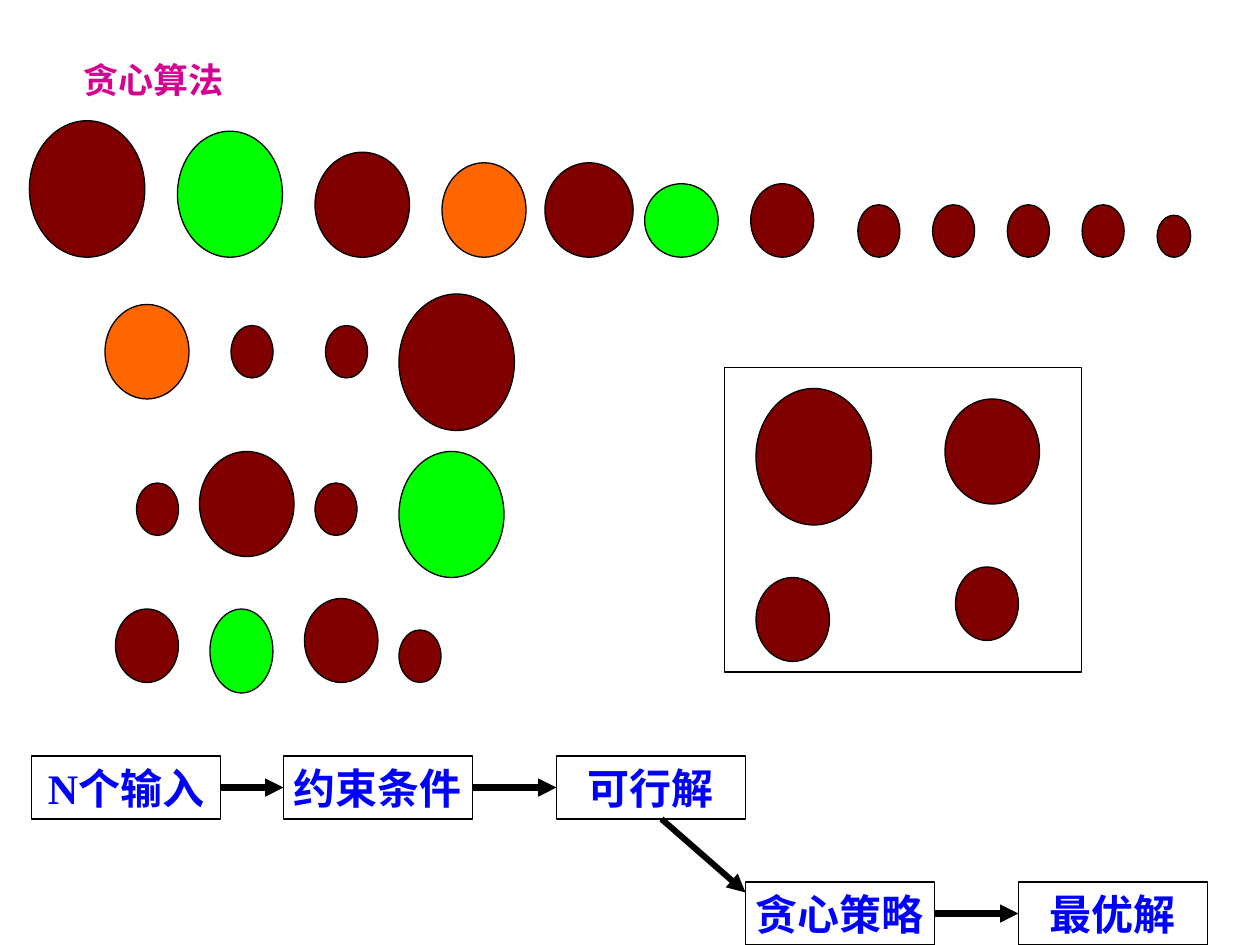
import lxml.etree
import pptx
import pptx.dml.color
import pptx.enum.shapes
import pptx.enum.text
import pptx.oxml.ns
import pptx.util

COLOURS = {
    "ink": "000000",
    "paper": "FFFFFF",
    "red": "800000",
    "green": "00FF00",
    "orange": "FF6600",
    "title": "D60093",
    "step": "0000FF",
}
CHINESE = "Noto Sans CJK SC"
LATIN = "Times New Roman"
COLUMNS, ROWS = 120, 90
CELL = pptx.util.Inches(10) // COLUMNS
OVAL = pptx.enum.shapes.MSO_SHAPE.OVAL
RECTANGLE = pptx.enum.shapes.MSO_SHAPE.RECTANGLE


def cells(*values):
    return [round(value * CELL) for value in values]


def colour(name):
    return pptx.dml.color.RGBColor.from_string(COLOURS[name])


def add_outlined(page, kind, box, fill):
    shape = page.shapes.add_shape(kind, *cells(*box))
    shape.shadow.inherit = False
    shape.fill.solid()
    shape.fill.fore_color.rgb = colour(fill)
    shape.line.color.rgb = colour("ink")
    shape.line.width = pptx.util.Pt(0.75)
    return shape


def add_span(para, text, face, size, fill):
    span = para.add_run()
    span.text = text
    span.font.size = pptx.util.Pt(size)
    span.font.bold = True
    span.font.color.rgb = colour(fill)
    span.font.name = face
    east_asian = lxml.etree.SubElement(span.font._element, pptx.oxml.ns.qn("a:ea"))
    east_asian.set("typeface", face)


def add_arrow(page, start, end):
    arrow = page.shapes.add_connector(
        pptx.enum.shapes.MSO_CONNECTOR.STRAIGHT, *cells(*start, *end))
    arrow.line.color.rgb = colour("ink")
    arrow.line.width = pptx.util.Pt(3.5)
    head = lxml.etree.SubElement(arrow.line._get_or_add_ln(), pptx.oxml.ns.qn("a:tailEnd"))
    head.set("type", "triangle")
    lxml.etree.SubElement(arrow._element.spPr, pptx.oxml.ns.qn("a:effectLst"))
    return arrow


def add_title(page, box):
    title = page.shapes.add_textbox(*cells(*box))
    frame = title.text_frame
    frame.word_wrap = True
    frame.auto_size = pptx.enum.text.MSO_AUTO_SIZE.SHAPE_TO_FIT_TEXT
    add_span(frame.paragraphs[0], "贪心算法", CHINESE, 20, "title")


def add_balls(page, box, balls):
    left, top = box[:2]
    for column, row, width, height, fill in balls:
        add_outlined(page, OVAL, (left + column, top + row, width, height), fill)


def add_sorted_row(page, box, balls):
    height = box[3]
    add_balls(page, box, [
        (column, height - tall, wide, tall, fill)
        for column, wide, tall, fill in balls])


def add_bag(page, box, balls):
    add_outlined(page, RECTANGLE, box, "paper")
    add_balls(page, box, balls)


def add_flow(page, box, steps):
    left, top = box[:2]
    wide, tall = 18, 6
    shapes = []
    for column, row, spans in steps:
        shape = add_outlined(page, RECTANGLE, (left + column, top + row, wide, tall), "paper")
        frame = shape.text_frame
        frame.word_wrap = False
        frame.vertical_anchor = pptx.enum.text.MSO_ANCHOR.MIDDLE
        para = frame.paragraphs[0]
        para.alignment = pptx.enum.text.PP_ALIGN.CENTER
        for text, face in spans:
            add_span(para, text, face, 24, "step")
        shapes.append(shape)
    for index, (here, following) in enumerate(zip(steps, steps[1:])):
        if here[1] == following[1]:
            level = top + here[1] + tall / 2
            arrow = add_arrow(page, (left + here[0] + wide, level), (left + following[0], level))
            arrow.begin_connect(shapes[index], 3)
            arrow.end_connect(shapes[index + 1], 1)
        else:
            add_arrow(page, (left + here[0] + 10, top + here[1] + tall),
                      (left + following[0], top + following[1] + 1))


def main():
    deck = pptx.Presentation()
    deck.slide_width, deck.slide_height = cells(COLUMNS, ROWS)
    page = deck.slides.add_slide(deck.slide_layouts[6])

    add_title(page, (6.8, 5, 38.2, 5.2))
    add_sorted_row(page, (2.8, 11.5, 110.6, 13), [
        (0, 11, 13, "red"), (14.1, 10, 12, "green"), (27.2, 9, 10, "red"),
        (39.3, 8, 9, "orange"), (49.1, 8.4, 9, "red"), (58.6, 7, 7, "green"),
        (68.7, 6, 7, "red"),
        *[(78.9 + 7.12 * index, 4, 5, "red") for index in range(4)],
        (107.4, 3.2, 4, "red")])
    add_balls(page, (10, 28, 39, 38), [
        (0, 1, 8, 9, "orange"), (12, 3, 4, 5, "red"),
        (21, 3, 4, 5, "red"), (28, 0, 11, 13, "red"),
        (3, 18, 4, 5, "red"), (9, 15, 9, 10, "red"),
        (20, 18, 4, 5, "red"), (28, 15, 10, 12, "green"),
        (1, 30, 6, 7, "red"), (10, 30, 6, 8, "green"),
        (19, 29, 7, 8, "red"), (28, 32, 4, 5, "red")])
    add_bag(page, (69, 35, 34, 29), [
        (3, 2, 11, 13, "red"), (21, 3, 9, 10, "red"),
        (3, 20, 7, 8, "red"), (22, 19, 6, 7, "red")])
    add_flow(page, (3, 72, 112, 18), [
        (0, 0, [("N", LATIN), ("个输入", CHINESE)]),
        (24, 0, [("约束条件", CHINESE)]),
        (50, 0, [("可行解", CHINESE)]),
        (68, 12, [("贪心策略", CHINESE)]),
        (94, 12, [("最优解", CHINESE)])])
    deck.save("out.pptx")


if __name__ == "__main__":
    main()
